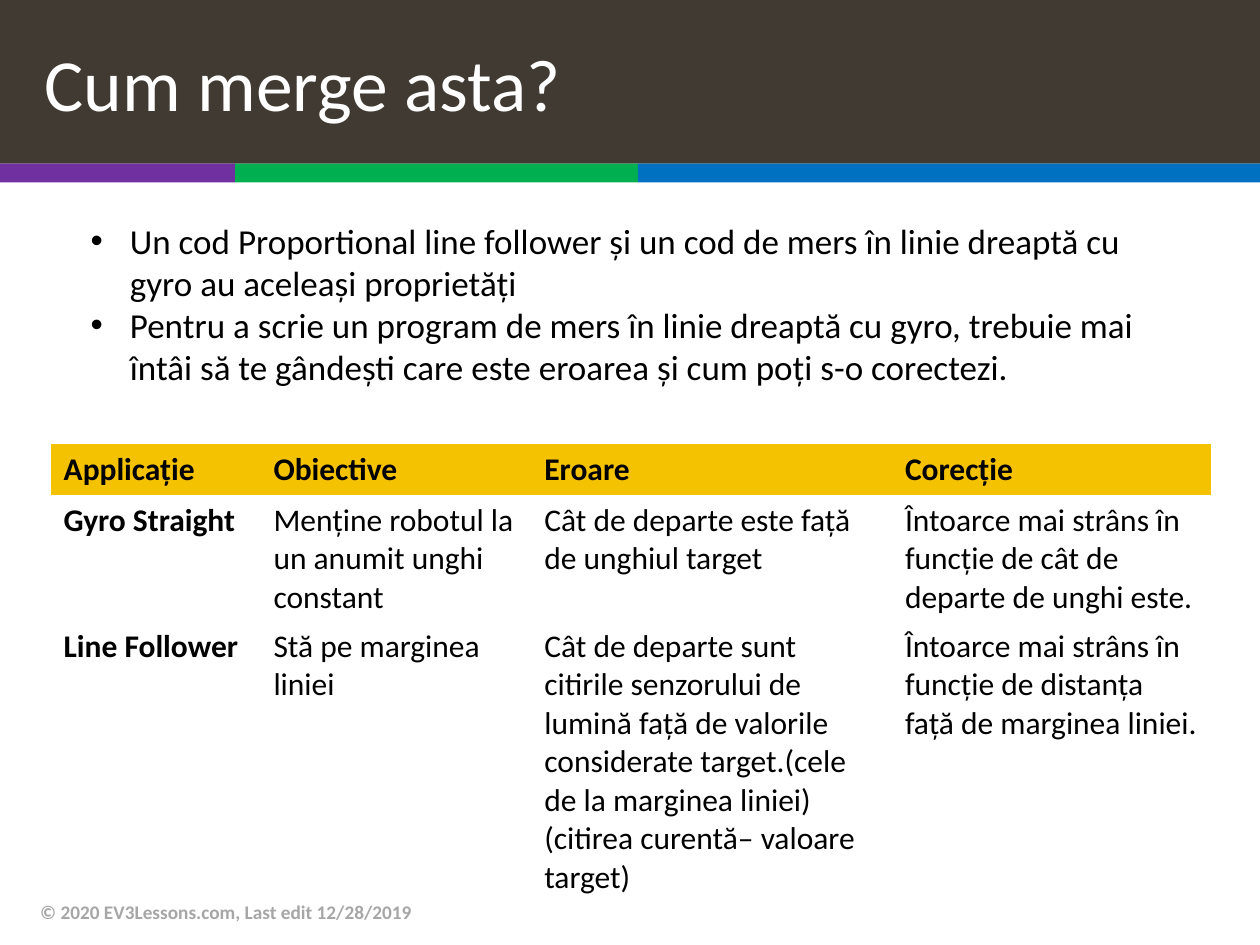
from dataclasses import dataclass

from lxml import etree
from pptx import Presentation
from pptx.dml.color import RGBColor
from pptx.enum import shapes, text
from pptx.oxml import ns
from pptx.util import Cm, Pt

BROWN = RGBColor(0x41, 0x3A, 0x33)
PURPLE = RGBColor(0x70, 0x30, 0xA0)
GREEN = RGBColor(0x00, 0xB0, 0x50)
BLUE = RGBColor(0x00, 0x70, 0xC0)
YELLOW = RGBColor(0xF5, 0xC2, 0x01)
GRAY = RGBColor(0xA6, 0xA6, 0xA6)
BLACK = RGBColor(0, 0, 0)
WHITE = RGBColor(0xFF, 0xFF, 0xFF)

FONT = "Calibri"
NO_GRID = "{2D5ABB26-0587-4C30-8999-92F81FD0307C}"
SLIDE_WIDTH = 25.4
HEADER_HEIGHT = 3.3


@dataclass
class Stripe:
    left: float
    right: float
    color: RGBColor


STRIPES = [
    Stripe(0, 4.74, PURPLE),
    Stripe(4.74, 12.86, GREEN),
    Stripe(12.86, SLIDE_WIDTH, BLUE),
]

BULLETS = [
    "Un cod Proportional line follower și un cod de mers în linie dreaptă cu gyro au aceleași proprietăți",
    "Pentru a scrie un program de mers în linie dreaptă cu gyro, trebuie mai întâi să te gândești "
    "care este eroarea și cum poți s-o corectezi.",
]

COLUMN_WIDTHS = [4.23, 5.46, 7.27, 6.43]
ROW_HEIGHT = 1.03
ROWS = [
    ["Applicație", "Obiective", "Eroare", "Corecție"],
    [
        "Gyro Straight",
        "Menține robotul la un anumit unghi constant",
        "Cât de departe este față de unghiul target",
        "Întoarce mai strâns în funcție de cât de departe de unghi este.",
    ],
    [
        "Line Follower",
        "Stă pe marginea liniei",
        "Cât de departe sunt citirile senzorului de lumină față de valorile considerate target."
        "(cele de la marginea liniei) (citirea curentă– valoare target)",
        "Întoarce mai strâns în funcție de distanța față de marginea liniei.",
    ],
]


def write(p, content: str, *, size: float, color=BLACK, bold=False, indent=0.0, bullet=False) -> None:
    p.alignment = text.PP_ALIGN.LEFT
    props = p._p.get_or_add_pPr()
    if indent:
        props.set("marL", str(Cm(indent)))
        props.set("indent", str(-Cm(indent) if bullet else 0))
    if bullet:
        etree.SubElement(props, ns.qn("a:buFont")).set("typeface", "Arial")
        etree.SubElement(props, ns.qn("a:buChar")).set("char", "•")
    r = p.add_run()
    r.text = content
    r.font.name = FONT
    r.font.size = Pt(size)
    r.font.bold = bold
    r.font.color.rgb = color


def draw_stripe(s, stripe: Stripe) -> None:
    sp = s.shapes.add_shape(
        shapes.MSO_SHAPE.RECTANGLE,
        Cm(stripe.left), Cm(HEADER_HEIGHT), Cm(stripe.right - stripe.left), Cm(0.38),
    )
    sp.shadow.inherit = False
    sp.fill.solid()
    sp.fill.fore_color.rgb = stripe.color
    sp.line.fill.background()


def draw_title(s, content: str) -> None:
    sp = s.shapes.title
    sp.left, sp.top, sp.width, sp.height = Cm(0), Cm(0), Cm(SLIDE_WIDTH), Cm(HEADER_HEIGHT)
    sp.fill.solid()
    sp.fill.fore_color.rgb = BROWN
    tf = sp.text_frame
    tf.vertical_anchor = text.MSO_ANCHOR.MIDDLE
    write(tf.paragraphs[0], content, size=42, color=WHITE, indent=0.64)


def add_text_frame(s, left: float, top: float, width: float, height: float):
    tf = s.shapes.add_textbox(Cm(left), Cm(top), Cm(width), Cm(height)).text_frame
    tf.word_wrap = True
    return tf


def draw_bullets(s, items: list[str]) -> None:
    tf = add_text_frame(s, 1.58, 4.3, 22.08, 3.68)
    tf.auto_size = text.MSO_AUTO_SIZE.SHAPE_TO_FIT_TEXT
    for i, item in enumerate(items):
        p = tf.add_paragraph() if i else tf.paragraphs[0]
        write(p, item, size=20, indent=0.79, bullet=True)


def draw_table(s, rows: list[list[str]]) -> None:
    frame = s.shapes.add_table(
        len(rows), len(COLUMN_WIDTHS), Cm(1.03), Cm(8.95),
        Cm(sum(COLUMN_WIDTHS)), Cm(ROW_HEIGHT * len(rows)),
    )
    table = frame.table
    table.horz_banding = False
    table._tbl.tblPr.find(ns.qn("a:tableStyleId")).text = NO_GRID
    for column, width in zip(table.columns, COLUMN_WIDTHS):
        column.width = Cm(width)
    for i, row in enumerate(rows):
        table.rows[i].height = Cm(ROW_HEIGHT)
        for j, content in enumerate(row):
            cell = table.cell(i, j)
            if i == 0:
                cell.fill.solid()
                cell.fill.fore_color.rgb = YELLOW
            else:
                cell.fill.background()
            write(cell.text_frame.paragraphs[0], content, size=18, bold=i == 0 or j == 0)


def main() -> None:
    prs = Presentation()
    prs.slide_width, prs.slide_height = Cm(SLIDE_WIDTH), Cm(19.05)
    s = prs.slides.add_slide(prs.slide_layouts[5])
    for stripe in STRIPES:
        draw_stripe(s, stripe)
    draw_title(s, "Cum merge asta?")
    footer = add_text_frame(s, 0.56, 17.88, 17.02, 1.02)
    footer.vertical_anchor = text.MSO_ANCHOR.MIDDLE
    write(footer.paragraphs[0], "© 2020 EV3Lessons.com, Last edit 12/28/2019", size=11, color=GRAY, bold=True)
    draw_bullets(s, BULLETS)
    draw_table(s, ROWS)
    prs.save("out.pptx")


if __name__ == "__main__":
    main()
